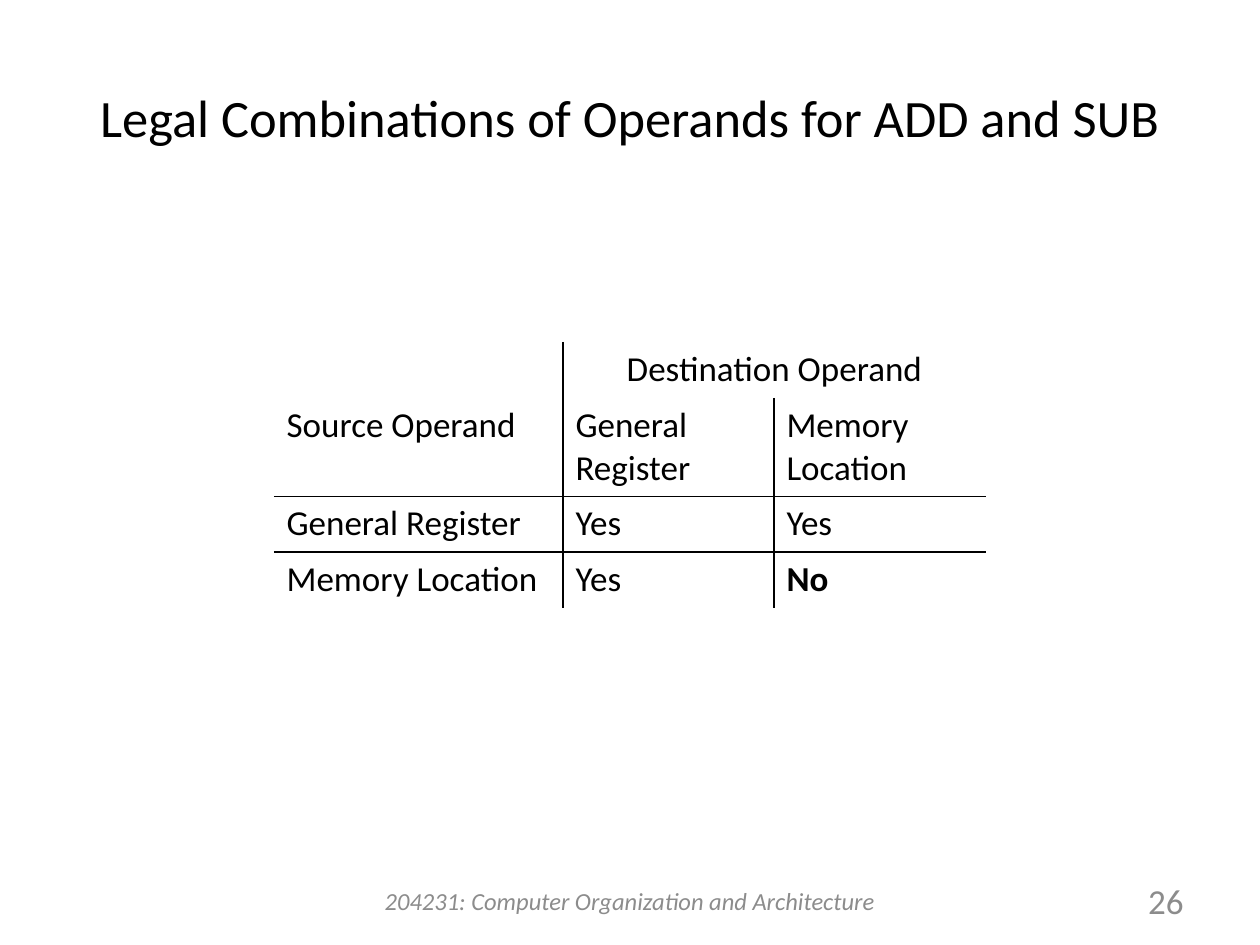
from lxml import etree
from pptx import Presentation
from pptx import util as u
from pptx.dml.color import RGBColor
from pptx.enum import text as t
from pptx.oxml.ns import qn

PX = 914400 // 126  # EMU in one px
BLACK, GREY = "000000", "8C8C8C"
LEFT, MID, RIGHT = t.PP_ALIGN.LEFT, t.PP_ALIGN.CENTER, t.PP_ALIGN.RIGHT


def px(*nums):
    return [u.Emu(n * PX) for n in nums]


def color(code):
    return RGBColor.from_string(code)


def write(frame, words, size=20, fill=BLACK, align=LEFT, bold=False, italic=False):
    frame.word_wrap = True
    frame.text = words
    for para in frame.paragraphs:
        para.alignment = align
        for run in para.runs:
            font = run.font
            font.name, font.size = "Calibri", u.Pt(size)
            font.bold, font.italic = bold, italic
            font.color.rgb = color(fill)


def title(slide, box, words):
    head = slide.shapes.title
    head.left, head.top, head.width, head.height = px(*box)
    head.text_frame.vertical_anchor = t.MSO_ANCHOR.MIDDLE
    write(head.text_frame, words, size=30, align=MID)


def label(slide, box, words, **form):
    frame = slide.shapes.add_textbox(*px(*box)).text_frame
    frame.vertical_anchor = t.MSO_ANCHOR.MIDDLE
    write(frame, words, **form)


def border(cell, sides):
    """Draw the named sides (out of L, R, T, B) and hide the others."""
    props = cell._tc.get_or_add_tcPr()
    for side in "LRTB":
        line = etree.SubElement(props, qn("a:ln" + side), w=str(u.Pt(1)))
        if side in sides:
            fill = etree.SubElement(line, qn("a:solidFill"))
            etree.SubElement(fill, qn("a:srgbClr"), val=BLACK)
        else:
            etree.SubElement(line, qn("a:noFill"))


def matrix(slide, box, cols, rows, data):
    grid = slide.shapes.add_table(len(rows), len(cols), *px(*box)).table
    grid.first_row = grid.horz_banding = False
    for col, width in zip(grid.columns, px(*cols)):
        col.width = width
    for row, height in zip(grid.rows, px(*rows)):
        row.height = height
    grid.cell(0, 1).merge(grid.cell(0, 2))

    last = len(rows) - 1
    for r, line in enumerate(data):
        for c, words in enumerate(line):
            cell = grid.cell(r, c)
            # Rules between columns, except inside the merged heading
            sides = "R" if c == 0 or (c == 1 and r > 0) else ""
            sides += "L" if c == 1 or (c == 2 and r > 0) else ""
            # Rules under the headings and between the body rows
            sides += "T" if r > 1 else ""
            sides += "B" if 0 < r < last else ""
            border(cell, sides)
            cell.fill.background()
            write(cell.text_frame, words, bold=words == "No",
                  align=MID if r == 0 else LEFT)


def footer(slide, box, words, page):
    left, top, width, height = box
    label(slide, box, words, size=14, fill=GREY, align=MID, italic=True)
    side = 294
    label(slide, (left + width - side, top, side, height), page,
          fill=GREY, align=RIGHT)


def main():
    deck = Presentation()
    deck.slide_width, deck.slide_height = px(1260, 945)
    slide = deck.slides.add_slide(deck.slide_layouts[5])

    title(slide, (63, 38, 1134, 158),
          "Legal Combinations of Operands for ADD and SUB")
    matrix(slide, (274, 342, 712, 265), (289, 211, 212), (56, 98, 55, 56), [
        ["", "Destination Operand", ""],
        ["Source Operand", "General Register", "Memory\nLocation"],
        ["General Register", "Yes", "Yes"],
        ["Memory Location", "Yes", "No"],
    ])
    footer(slide, (64, 876, 1132, 50),
           "204231: Computer Organization and Architecture", "26")
    deck.save("out.pptx")


if __name__ == "__main__":
    main()
